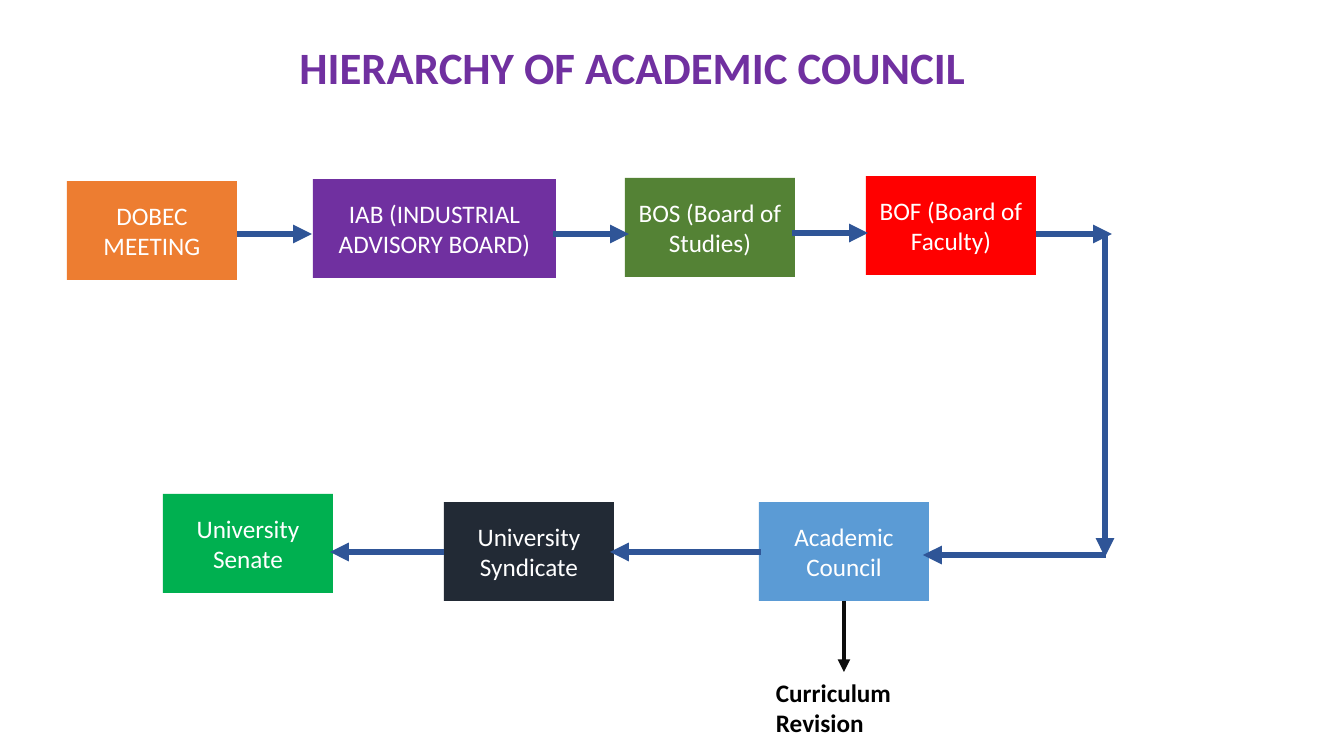
from collections import namedtuple

from lxml import etree
from pptx import Presentation, util as u
from pptx.dml.color import RGBColor
from pptx.enum import shapes, text
from pptx.oxml.ns import qn

Box = namedtuple("Box", "left top width height")
SCALE = 914400 / 100.8
FONT = "Calibri"
BLUE = "2F5597"
STEP_WIDTH, STEP_HEIGHT = 170, 99


def px(pixels):
    return u.Emu(round(pixels * SCALE))


def color(code):
    return RGBColor.from_string(code)


def write(shape, words, size, code, bold=False, align=text.PP_ALIGN.CENTER):
    shape.text_frame.word_wrap = True
    para = shape.text_frame.paragraphs[0]
    para.text = words
    para.alignment = align
    para.font.name = FONT
    para.font.size = u.Pt(size)
    para.font.bold = bold
    para.font.color.rgb = color(code)


def add_label(page, box, words, size, code, align):
    label = page.shapes.add_textbox(*map(px, box))
    write(label, words, size, code, True, align)


def add_step(page, box, words, fill):
    step = page.shapes.add_shape(shapes.MSO_SHAPE.RECTANGLE, *map(px, box))
    step.shadow.inherit = False
    step.fill.solid()
    step.fill.fore_color.rgb = color(fill)
    step.line.fill.background()
    step.text_frame.vertical_anchor = text.MSO_ANCHOR.MIDDLE
    write(step, words, 18, "FFFFFF")


def add_arrow(page, start, end, code=BLUE, weight=4.5):
    arrow = page.shapes.add_connector(
        shapes.MSO_CONNECTOR.STRAIGHT, *map(px, start + end))
    arrow.line.color.rgb = color(code)
    arrow.line.width = u.Pt(weight)
    etree.SubElement(arrow.line._get_or_add_ln(), qn("a:tailEnd"), type="triangle")
    etree.SubElement(arrow._element.spPr, qn("a:effectLst"))


def add_row(page, box, steps, arrows):
    for left, top, width, words, fill in steps:
        place = Box(box.left + left, box.top + top, width, STEP_HEIGHT)
        add_step(page, place, words, fill)
    for start, end, height in arrows:
        level = box.top + height
        add_arrow(page, (box.left + start, level), (box.left + end, level))


def add_boards(page, box):
    steps = [
        (0, 5, STEP_WIDTH, "DOBEC MEETING", "ED7D31"),
        (246, 3, 243, "IAB (INDUSTRIAL ADVISORY BOARD)", "7030A0"),
        (558, 2, STEP_WIDTH, "BOS (Board of Studies)", "548235"),
        (799, 0, STEP_WIDTH, "BOF (Board of Faculty)", "FF0000"),
    ]
    arrows = [(170, 245, 58), (486, 562, 58), (725, 801, 57), (969, 1045, 58)]
    add_row(page, box, steps, arrows)


def add_university(page, box):
    steps = [
        (596, 8, STEP_WIDTH, "Academic Council", "5B9BD5"),
        (281, 8, STEP_WIDTH, "University Syndicate", "222A35"),
        (0, 0, STEP_WIDTH, "University Senate", "00B050"),
    ]
    arrows = [(943, 760, 61), (598, 447, 58), (281, 167, 58)]
    add_row(page, box, steps, arrows)


def add_revision(page, box):
    middle = box.left + 78
    label_top = box.top + 71
    add_arrow(page, (middle, box.top), (middle, label_top), "0D0D0D", 3)
    place = Box(box.left, label_top, box.width, box.height - 71)
    add_label(page, place, "Curriculum Revision", 18, "000000", text.PP_ALIGN.LEFT)


deck = Presentation()
deck.slide_width, deck.slide_height = px(1344), px(756)
page = deck.slides.add_slide(deck.slide_layouts[6])
add_label(page, Box(249, 35, 767, 65), "HIERARCHY OF ACADEMIC COUNCIL", 32,
          "7030A0", text.PP_ALIGN.CENTER)
add_boards(page, Box(67, 176, 1045, 104))
add_arrow(page, (1105, 233), (1105, 557))
add_university(page, Box(163, 494, 943, 107))
add_revision(page, Box(766, 601, 173, 143))
deck.save("out.pptx")
